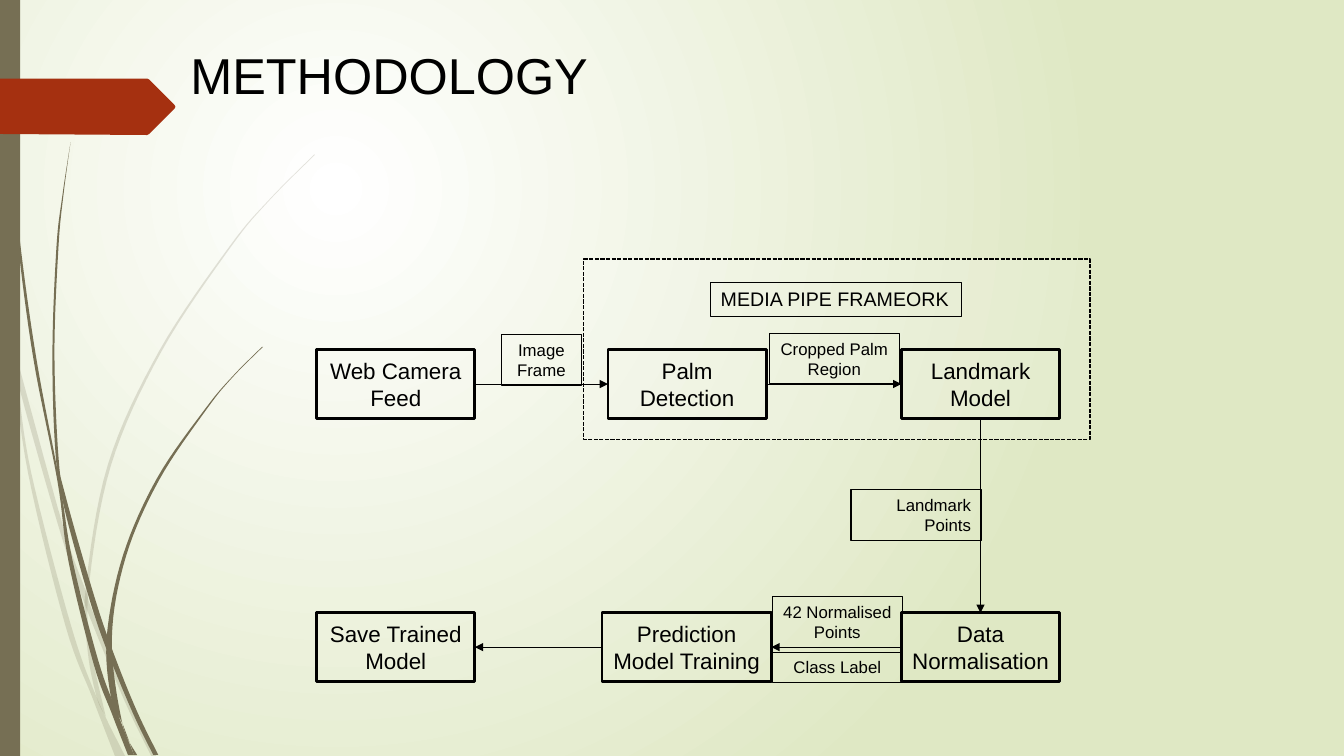
from lxml import etree
from pptx import Presentation
from pptx.dml.color import RGBColor
from pptx.enum.dml import MSO_LINE
from pptx.enum.shapes import MSO_CONNECTOR, MSO_SHAPE
from pptx.enum.text import MSO_ANCHOR, PP_ALIGN
from pptx.oxml.ns import qn
from pptx.util import Inches, Pt

RECTANGLE = MSO_SHAPE.RECTANGLE
STRAIGHT = MSO_CONNECTOR.STRAIGHT
DASH = MSO_LINE.SQUARE_DOT
TOP, MIDDLE = MSO_ANCHOR.TOP, MSO_ANCHOR.MIDDLE
LEFT, CENTER, RIGHT = PP_ALIGN.LEFT, PP_ALIGN.CENTER, PP_ALIGN.RIGHT
SIDE_TOP, SIDE_LEFT, SIDE_BOTTOM, SIDE_RIGHT = range(4)

FONT = "Arial"
BLACK, WHITE, PALE_GREEN = "000000", "FFFFFF", "DFE8C4"
OLIVE, RUST = "766F54", "A53010"
CURVE_STEPS = 8
FIRST_ROW, SECOND_ROW, STEP_HEIGHT = 3.47, 6.08, 0.68

FAINT_BLADES = [
    ([(0, 2.99), (0.1, 3.44), (0.28, 4.7), (0.65, 6.21), (0.92, 6.93), (1.14, 7.5)],
     [(0, 2.82), (0.09, 3.22), (0.17, 3.76), (0.31, 4.69), (0.7, 6.19), (0.96, 6.92),
      (1.24, 7.5)]),
    ([(0.14, 3.45), (0.17, 3.76), (0.58, 5.22), (0.84, 5.99), (1.23, 6.94), (1.5, 7.5)],
     [(0.14, 3.45), (0.62, 5.2), (0.85, 5.86), (0.92, 6.07), (1.27, 6.92), (1.55, 7.5)]),
    ([(3.12, 1.53), (2.68, 1.97), (2.28, 2.44), (1.58, 3.48), (1.07, 4.61), (0.85, 5.84),
      (0.87, 6.46), (0.96, 6.92), (1.05, 7.11)],
     [(3.12, 1.54), (2.68, 1.98), (2.29, 2.45), (1.6, 3.49), (1.1, 4.62), (0.88, 5.84),
      (0.91, 6.46), (1.05, 7.11)]),
]
DARK_BLADES = [
    ([(0.03, 0), (0.04, 0.48), (0.07, 1.1), (0.17, 2.33), (0.33, 3.55), (0.57, 4.77),
      (0.68, 5.57), (0.93, 6.59), (1.11, 7.08), (1.27, 7.49)],
     [(0.04, 0), (0.05, 0.48), (0.08, 1.09), (0.19, 2.32), (0.36, 3.55), (0.59, 4.77),
      (0.72, 5.56), (0.98, 6.57), (1.16, 7.06), (1.33, 7.49)]),
    ([(0.7, 1.41), (0.62, 1.93), (0.56, 2.45), (0.52, 3.49), (0.55, 4.49), (0.64, 5.05),
      (0.88, 5.92), (1.06, 6.45), (1.32, 7.08), (1.52, 7.49)],
     [(0.7, 1.41), (0.63, 1.93), (0.58, 2.45), (0.54, 3.49), (0.58, 4.53), (0.65, 4.92),
      (0.93, 5.9), (1.13, 6.49), (1.36, 7.06), (1.57, 7.49)]),
    ([(2.6, 3.44), (2.31, 3.73), (2.04, 4.05), (1.56, 4.74), (1.22, 5.51), (1.06, 6.31),
      (1.1, 6.91), (1.22, 7.19), (1.33, 7.49)],
     [(2.61, 3.44), (2.31, 3.74), (2.05, 4.06), (1.58, 4.76), (1.25, 5.52), (1.11, 6.33),
      (1.21, 7.16), (1.36, 7.49)]),
]
TAG_OUTLINE = [(0, 0.78), (1.46, 0.78), (1.48, 0.79), (1.73, 1.04), (1.74, 1.06),
               (1.73, 1.08), (1.48, 1.33), (1.46, 1.34), (0, 1.33)]

STEPS = [
    ("Web Camera Feed", 3.14, FIRST_ROW, 1.57),
    ("Palm Detection", 6.03, FIRST_ROW, 1.57),
    ("Landmark Model", 8.94, FIRST_ROW, 1.57),
    ("Data Normalisation", 8.94, SECOND_ROW, 1.57),
    ("Prediction Model Training", 5.97, SECOND_ROW, 1.68),
    ("Save Trained Model", 3.14, SECOND_ROW, 1.57),
]
ARROW_SIDES = [(SIDE_RIGHT, SIDE_LEFT), (SIDE_RIGHT, SIDE_LEFT), (SIDE_BOTTOM, SIDE_TOP),
               (SIDE_LEFT, SIDE_RIGHT), (SIDE_LEFT, SIDE_RIGHT)]
LABELS = [
    (["Image Frame"], (4.97, 3.32, 0.8, 0.5), CENTER, 12),
    (["Cropped Palm", "Region"], (7.63, 3.31, 1.29, 0.5), CENTER, 12),
    (["Landmark Points"], (8.44, 4.86, 1.29, 0.5), RIGHT, 12),
    (["42 Normalised Points"], (7.66, 5.92, 1.29, 0.5), CENTER, 12),
    (["Class Label"], (7.66, 6.47, 1.29, 0.3), CENTER, 12),
    (["MEDIA PIPE FRAMEORK"], (7.05, 2.8, 2.49, 0.34), LEFT, 14),
]


def color(hex_string):
    """Turn a hex string into a colour."""
    return RGBColor.from_string(hex_string)


def fill_shape(shape, hex_string, opacity=100):
    """Fill a shape with a colour of the given opacity in percent."""
    shape.fill.solid()
    shape.fill.fore_color.rgb = color(hex_string)
    if opacity < 100:
        value = shape.fill._xPr.find(qn("a:solidFill"))[0]
        etree.SubElement(value, qn("a:alpha"), val=str(opacity * 1000))


def paint_background(slide):
    """Give the slide a radial gradient centred in its upper left quarter."""
    fill = slide.background.fill
    fill.gradient()
    for stop, hex_string in zip(fill.gradient_stops, (WHITE, PALE_GREEN)):
        stop.color.rgb = color(hex_string)
    gradient = slide.background._cSld.find(".//" + qn("a:gradFill"))
    gradient.remove(gradient.find(qn("a:lin")))
    circle = etree.SubElement(gradient, qn("a:path"), {"path": "circle"})
    etree.SubElement(circle, qn("a:fillToRect"), l="50000", t="50000", r="100000", b="100000")


def smooth(points):
    """Return a dense Catmull-Rom curve through the points."""
    padded = [points[0], *points, points[-1]]
    curve = []
    for a, b, c, d in zip(padded, padded[1:], padded[2:], padded[3:]):
        for step in range(CURVE_STEPS):
            t = step / CURVE_STEPS
            curve.append(tuple(
                q + ((r - p) * t + (2 * p - 5 * q + 4 * r - s) * t ** 2
                     + (3 * q - p - 3 * r + s) * t ** 3) / 2
                for p, q, r, s in zip(a, b, c, d)))
    return curve + [points[-1]]


def add_outline(slide, points, hex_string, opacity=100):
    """Add a filled closed outline through points in inches."""
    corners = [(Inches(x), Inches(y)) for x, y in points]
    builder = slide.shapes.build_freeform(*corners[0])
    builder.add_line_segments(corners[1:], close=True)
    shape = builder.convert_to_shape()
    shape.shadow.inherit = False
    fill_shape(shape, hex_string, opacity)
    shape.line.fill.background()


def add_rectangle(slide, box, line_width=0):
    """Add an unfilled rectangle with a black border, or none at width zero."""
    shape = slide.shapes.add_shape(RECTANGLE, *map(Inches, box))
    shape.shadow.inherit = False
    shape.fill.background()
    if line_width:
        shape.line.color.rgb = color(BLACK)
        shape.line.width = Pt(line_width)
    else:
        shape.line.fill.background()
    return shape


def write_text(shape, lines, size, alignment, anchor):
    """Write each line as one black paragraph."""
    frame = shape.text_frame
    frame.word_wrap = True
    frame.vertical_anchor = anchor
    for index, line in enumerate(lines):
        paragraph = frame.add_paragraph() if index else frame.paragraphs[0]
        paragraph.alignment = alignment
        run = paragraph.add_run()
        run.text = line
        run.font.name = FONT
        run.font.size = Pt(size)
        run.font.color.rgb = color(BLACK)


def add_arrow(slide, start, start_side, end, end_side):
    """Join two steps by an arrow."""
    connector = slide.shapes.add_connector(STRAIGHT, 0, 0, 0, 0)
    connector.begin_connect(start, start_side)
    connector.end_connect(end, end_side)
    connector.line.color.rgb = color(BLACK)
    connector.line.width = Pt(0.75)
    etree.SubElement(connector.line._get_or_add_ln(), qn("a:tailEnd"), type="triangle")
    etree.SubElement(connector._element.spPr, qn("a:effectLst"))


def add_decoration(slide):
    """Add the grass blades, the side bar and the title tag."""
    for blades, opacity in ((FAINT_BLADES, 20), (DARK_BLADES, 100)):
        for left_edge, right_edge in blades:
            outline = smooth(left_edge) + smooth(right_edge)[::-1]
            add_outline(slide, outline, OLIVE, opacity)
    fill_shape(add_rectangle(slide, (0, 0, 0.2, 7.5)), OLIVE)
    add_outline(slide, TAG_OUTLINE, RUST)


def main():
    """Build the methodology slide."""
    presentation = Presentation()
    presentation.slide_width = Inches(13.33)
    presentation.slide_height = Inches(7.5)
    slide = presentation.slides.add_slide(presentation.slide_layouts[6])
    paint_background(slide)
    add_decoration(slide)
    title = slide.shapes.add_textbox(*map(Inches, (1.79, 0.39, 9.75, 1.4)))
    write_text(title, ["METHODOLOGY"], 36, LEFT, TOP)

    framework = add_rectangle(slide, (5.79, 2.57, 5.02, 1.79), 1)
    fill_shape(framework, WHITE, 15)
    framework.line.dash_style = DASH
    steps = []
    for name, left, top, width in STEPS:
        step = add_rectangle(slide, (left, top, width, STEP_HEIGHT), 2)
        write_text(step, [name], 16, CENTER, MIDDLE)
        steps.append(step)
    for start, end, (start_side, end_side) in zip(steps, steps[1:], ARROW_SIDES):
        add_arrow(slide, start, start_side, end, end_side)
    for lines, box, alignment, size in LABELS:
        write_text(add_rectangle(slide, box, 0.75), lines, size, alignment, TOP)
    presentation.save("out.pptx")


if __name__ == "__main__":
    main()
